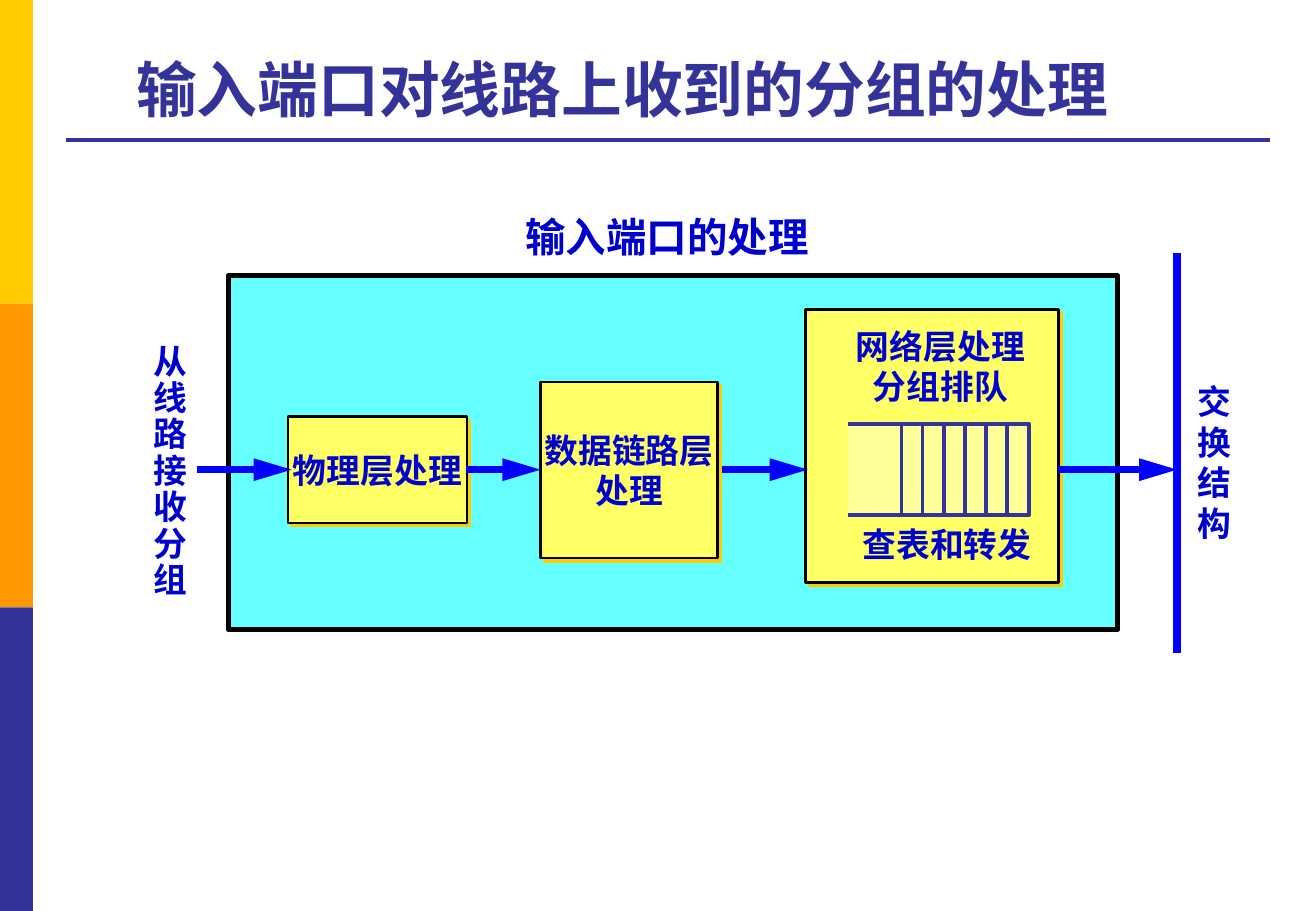
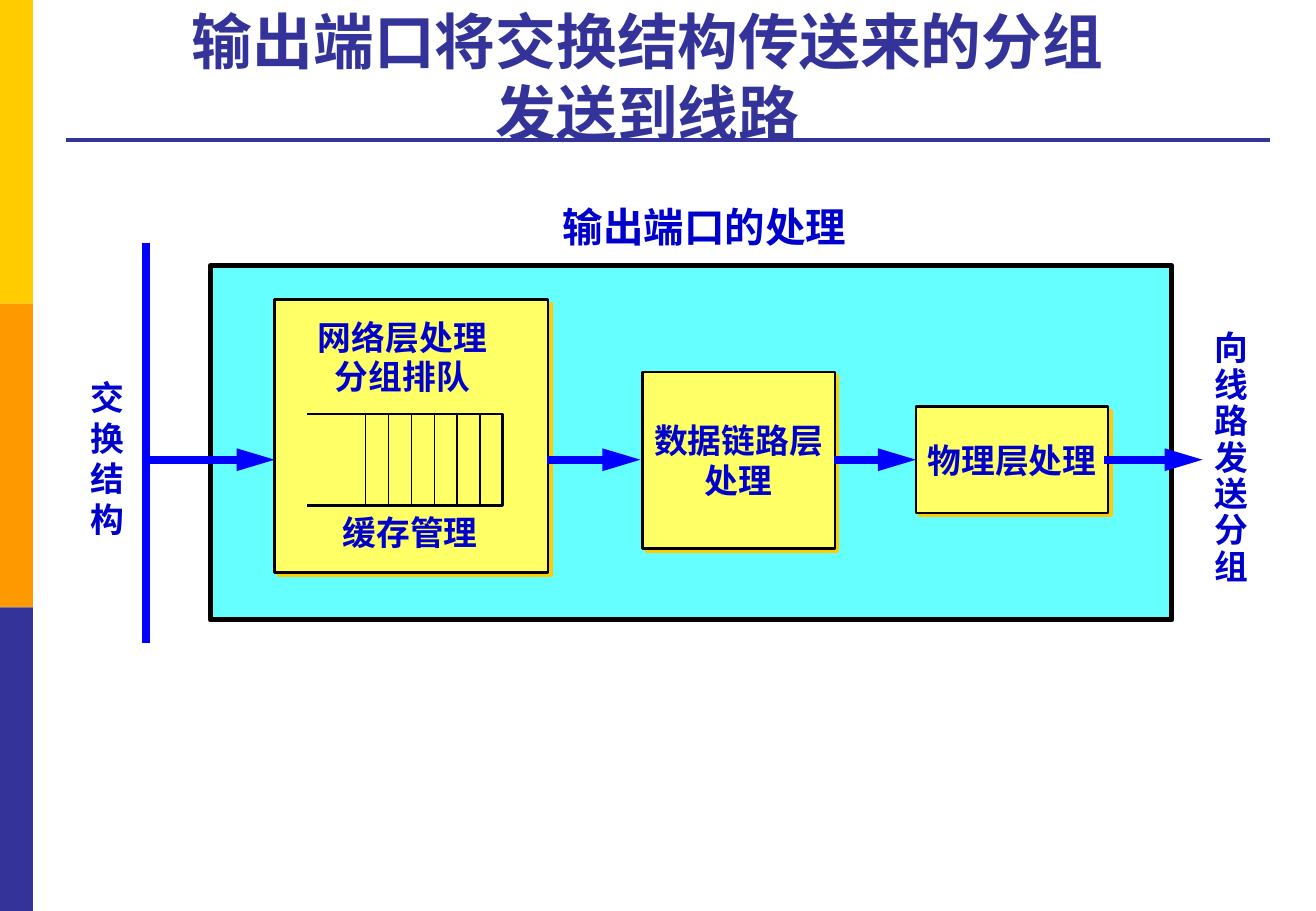
from dataclasses import dataclass
from pptx import Presentation
from pptx.dml.color import RGBColor
from pptx.enum.shapes import MSO_CONNECTOR, MSO_SHAPE
from pptx.enum.text import MSO_ANCHOR, MSO_AUTO_SIZE, PP_ALIGN
from pptx.oxml import parse_xml
from pptx.oxml.ns import nsdecls
from pptx.util import Pt

FONT = "Arial"
COLORS = {
    "gold": "FFCC00",
    "orange": "FF9900",
    "indigo": "333399",
    "panel": "66FFFF",
    "stage": "FFFF66",
    "queue": "FFFF99",
    "text": "0000CC",
    "flow": "0000FF",
    "black": "000000",
}
SLIDE_WIDTH, SLIDE_HEIGHT = 780, 540
PANEL_HEIGHT = 210
AXIS_OFFSET = 115
CELL_DIVIDERS = 6


@dataclass
class Queue:
    left: float
    width: float
    first_divider: float
    step: float
    color: str
    outline_weight: float
    divider_weight: float
    fill: str | None = None


@dataclass
class Port:
    title: str
    title_box: tuple
    panel_box: tuple
    heading: str
    heading_center: float
    physical: tuple
    link: tuple
    network: tuple
    queue: Queue
    network_center: float
    network_top: float
    network_spacing: float
    task: str
    task_center: float
    task_top: float
    flows: list
    fabric_bar: float
    fabric_center: float
    fabric_top: float
    line_label: str
    line_center: float
    line_top: float


def rgb(name):
    return RGBColor.from_string(COLORS[name])


def set_text(frame, lines, size, color="text", spacing=None):
    frame.text = "\n".join(lines)
    frame.auto_size = MSO_AUTO_SIZE.NONE
    for paragraph in frame.paragraphs:
        paragraph.alignment = PP_ALIGN.CENTER
        if spacing:
            paragraph.line_spacing = spacing
        for run in paragraph.runs:
            run.font.name = FONT
            run.font.size = Pt(size)
            run.font.bold = True
            run.font.color.rgb = rgb(color)


def add_label(slide, center, top, width, height, lines, size=20, spacing=None):
    label = slide.shapes.add_textbox(
        Pt(center - width / 2), Pt(top), Pt(width), Pt(height))
    label.text_frame.word_wrap = False
    set_text(label.text_frame, lines, size, spacing=spacing)


def add_rect(slide, left, top, width, height, fill, border=None):
    rect = slide.shapes.add_shape(
        MSO_SHAPE.RECTANGLE, Pt(left), Pt(top), Pt(width), Pt(height))
    rect.shadow.inherit = False
    rect.fill.solid()
    rect.fill.fore_color.rgb = rgb(fill)
    if border:
        rect.line.color.rgb = rgb("black")
        rect.line.width = Pt(border)
    else:
        rect.line.fill.background()
    return rect


def add_line(slide, x1, y1, x2, y2, color, weight, arrow=False):
    line = slide.shapes.add_connector(
        MSO_CONNECTOR.STRAIGHT, Pt(x1), Pt(y1), Pt(x2), Pt(y2))
    line.line.color.rgb = rgb(color)
    line.line.width = Pt(weight)
    if arrow:
        line.line._get_or_add_ln().append(parse_xml(
            f'<a:tailEnd {nsdecls("a")} type="triangle" w="med" len="lg"/>'))
    line._element.spPr.append(parse_xml(f'<a:effectLst {nsdecls("a")}/>'))


def add_stage(slide, left, top, width, height, lines=()):
    stage = add_rect(slide, left, top, width, height, "stage", 1.5)
    effects = stage._element.spPr.find("{*}effectLst")
    effects.append(parse_xml(
        f'<a:outerShdw {nsdecls("a")} dist="{Pt(2.8)}" dir="2700000" algn="ctr" '
        f'rotWithShape="0"><a:srgbClr val="{COLORS["gold"]}"/></a:outerShdw>'))
    if lines:
        stage.text_frame.word_wrap = False
        stage.text_frame.vertical_anchor = MSO_ANCHOR.MIDDLE
        set_text(stage.text_frame, lines, 20)


def add_queue(slide, left, top, height, queue):
    right, bottom = left + queue.width, top + height
    builder = slide.shapes.build_freeform(Pt(left), Pt(top))
    builder.add_line_segments(
        [(Pt(right), Pt(top)), (Pt(right), Pt(bottom)), (Pt(left), Pt(bottom))],
        close=False)
    outline = builder.convert_to_shape()
    outline.shadow.inherit = False
    if queue.fill:
        outline.fill.solid()
        outline.fill.fore_color.rgb = rgb(queue.fill)
    else:
        outline.fill.background()
    outline.line.color.rgb = rgb(queue.color)
    outline.line.width = Pt(queue.outline_weight)
    for index in range(CELL_DIVIDERS):
        x = left + queue.first_divider + index * queue.step
        add_line(slide, x, top, x, bottom, queue.color, queue.divider_weight)


def add_decor(slide):
    band_height = SLIDE_HEIGHT / 3
    for index, color in enumerate(("gold", "orange", "indigo")):
        add_rect(slide, 0, index * band_height, 19.5, band_height, color)
    add_line(slide, 39, 82.8, 753, 82.8, "indigo", 2.25)


def add_title(slide, text, box):
    title = slide.shapes.title
    title.left, title.top, title.width, title.height = map(Pt, box)
    title.text_frame.vertical_anchor = MSO_ANCHOR.BOTTOM
    set_text(title.text_frame, [text], 36, "indigo")


def add_port_diagram(slide, port):
    left, top, width = port.panel_box
    axis = top + AXIS_OFFSET
    add_rect(slide, left, top, width, PANEL_HEIGHT, "panel", 3)
    add_label(slide, left + port.heading_center, top - 41, 200, 36,
              [port.heading], 24)

    stages = (
        (port.physical, axis - 31.5, 63, ["物理层处理"]),
        (port.link, axis - 52, 104.5, ["数据链路层", "处理"]),
        (port.network, axis - 95, 162, []),
    )
    for (stage_left, stage_width), stage_top, stage_height, lines in stages:
        add_stage(slide, left + stage_left, stage_top, stage_width,
                  stage_height, lines)

    for start, end in port.flows:
        add_line(slide, left + start, axis, left + end, axis, "flow", 4.5, True)
    bar = left + port.fabric_bar
    add_line(slide, bar, axis - 128.5, bar, axis + 108.5, "flow", 4.5)

    add_queue(slide, left + port.queue.left, axis - 27, 54, port.queue)
    add_label(slide, left + port.network_center, axis + port.network_top, 116, 55,
              ["网络层处理", "分组排队"], spacing=port.network_spacing)
    add_label(slide, left + port.task_center, axis + port.task_top, 115, 32,
              [port.task])
    add_label(slide, left + port.fabric_center, axis + port.fabric_top, 34.5, 104,
              "交换结构")
    add_label(slide, left + port.line_center, axis + port.line_top, 34.5, 160,
              port.line_label, spacing=0.9)


PORTS = [
    Port(
        title="输入端口对线路上收到的分组的处理",
        title_box=(12, 15, 713.5, 62.6),
        panel_box=(135.4, 163.4, 527),
        heading="输入端口的处理", heading_center=260,
        physical=(35.3, 106), link=(185, 105), network=(342, 150),
        queue=Queue(367.2, 107.3, 31.7, 12.53, "indigo", 2.25, 2.25, "queue"),
        network_center=422, network_top=-89, network_spacing=1,
        task="查表和转发", task_center=426, task_top=28.4,
        flows=[(-18.7, 37.4), (141, 185), (292.3, 343.4), (491.7, 562.3)],
        fabric_bar=562.3, fabric_center=584.6, fabric_top=-56,
        line_label="从线路接收分组", line_center=-34.6, line_top=-77.5,
    ),
    Port(
        title="输出端口将交换结构传送来的分组\v发送到线路",
        title_box=(27, 0, 713.5, 92),
        panel_box=(124.6, 157.5, 570),
        heading="输出端口的处理", heading_center=293,
        physical=(418.3, 114), link=(256.3, 114), network=(38.2, 162),
        queue=Queue(57.6, 115.5, 34.6, 13.54, "black", 1.5, 0.75),
        network_center=114, network_top=-86.5, network_spacing=0.95,
        task="缓存管理", task_center=118.5, task_top=27,
        flows=[(-38.2, 38.2), (199.5, 255), (370, 418.3), (530, 588.2)],
        fabric_bar=-38.2, fabric_center=-61.2, fabric_top=-52.5,
        line_label="向线路发送分组", line_center=605.5, line_top=-79.5,
    ),
]


def main():
    deck = Presentation()
    deck.slide_width, deck.slide_height = Pt(SLIDE_WIDTH), Pt(SLIDE_HEIGHT)
    for port in PORTS:
        slide = deck.slides.add_slide(deck.slide_layouts[5])
        add_decor(slide)
        add_title(slide, port.title, port.title_box)
        add_port_diagram(slide, port)
    deck.save("out.pptx")


if __name__ == "__main__":
    main()
